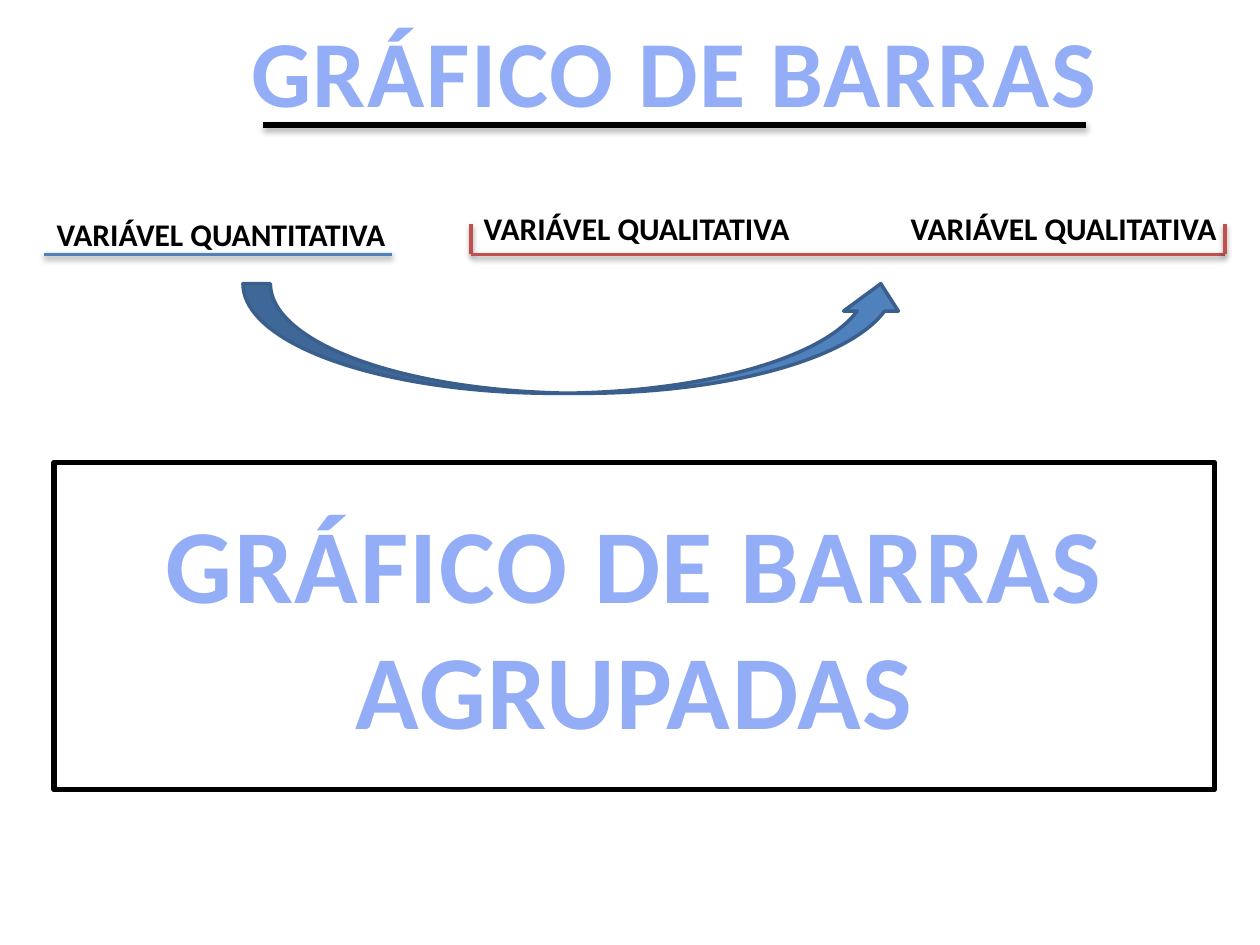
import pptx
import pptx.util
import pptx.dml.color
import pptx.enum.shapes
import pptx.enum.text
import pptx.oxml
import pptx.oxml.ns

Cm = pptx.util.Cm
Pt = pptx.util.Pt
RGBColor = pptx.dml.color.RGBColor
Shape = pptx.enum.shapes.MSO_SHAPE
Text = pptx.enum.text

BLACK = RGBColor(0x00, 0x00, 0x00)
WHITE = RGBColor(0xFF, 0xFF, 0xFF)
SKY = RGBColor(0x93, 0xAE, 0xF7)
BLUE = RGBColor(0x4F, 0x81, 0xBD)
NAVY = RGBColor(0x3A, 0x5F, 0x8C)
RED = RGBColor(0xC0, 0x50, 0x4D)

SHADOW = (
    '<a:effectLst %s><a:outerShdw blurRad="40000" dist="%d" dir="5400000" '
    'rotWithShape="0"><a:srgbClr val="000000"><a:alpha val="%d"/>'
    '</a:srgbClr></a:outerShdw></a:effectLst>'
)


def place(shape, left, top, width, height):
    shape.left, shape.top = Cm(left), Cm(top)
    shape.width, shape.height = Cm(width), Cm(height)


def write(shape, lines, size, color, align, space=0):
    """Fill a text shape with bold lines; space is letter spacing in points."""
    frame = shape.text_frame
    frame.text = "\n".join(lines)
    frame.word_wrap = False
    frame.auto_size = Text.MSO_AUTO_SIZE.SHAPE_TO_FIT_TEXT
    frame.vertical_anchor = Text.MSO_ANCHOR.TOP
    for para in frame.paragraphs:
        para.alignment = align
        font = para.font
        font.name, font.size, font.bold = "Calibri", Pt(size), True
        font.color.rgb = color
        if space:
            props = para._p.get_or_add_pPr().get_or_add_defRPr()
            props.set("spc", str(space * 100))


def add_text(slide, box, lines, size, color, align, space=0):
    shape = slide.shapes.add_textbox(0, 0, 0, 0)
    place(shape, *box)
    write(shape, lines, size, color, align, space)


def add_line(slide, start, end, color, width=2, drop=1.6, alpha=38):
    """Draw a straight line with a soft shadow below it."""
    ends = [Cm(n) for n in (*start, *end)]
    line = slide.shapes.add_connector(
        pptx.enum.shapes.MSO_CONNECTOR.STRAIGHT, *ends)
    line.line.color.rgb = color
    line.line.width = Pt(width)
    space = pptx.oxml.ns.nsdecls("a")
    line._element.spPr.append(pptx.oxml.parse_xml(
        SHADOW % (space, Pt(drop), alpha * 1000)))


def add_form(slide, kind, box, fill, edge, width):
    form = slide.shapes.add_shape(kind, *[Cm(n) for n in box])
    form.shadow.inherit = False
    form.fill.solid()
    form.fill.fore_color.rgb = fill
    form.line.color.rgb = edge
    form.line.width = Pt(width)


def main():
    deck = pptx.Presentation()
    deck.slide_width, deck.slide_height = Cm(25.4), Cm(19.05)
    slide = deck.slides.add_slide(deck.slide_layouts[5])
    left, center = Text.PP_ALIGN.LEFT, Text.PP_ALIGN.CENTER

    # Title and its underline
    title = slide.shapes.title
    place(title, 4.7, 0.13, 17.78, 2.57)
    write(title, ["GRÁFICO DE BARRAS"], 54, SKY, center, 1)
    add_line(slide, (5.31, 2.52), (21.89, 2.52), BLACK, 3, 1.8, 35)

    # Variable labels
    for x, y, wide, label in (
        (0.89, 4.22, 7.34, "VARIÁVEL QUANTITATIVA"),
        (9.5, 4.09, 6.73, "VARIÁVEL QUALITATIVA"),
        (18.11, 4.09, 6.73, "VARIÁVEL QUALITATIVA"),
    ):
        add_text(slide, (x, y, wide, 1.02), [label], 18, BLACK, left)

    # Red bracket under the qualitative pair, blue line under the other
    near, far, top, base = 9.5, 24.69, 4.52, 5.13
    add_line(slide, (near, top), (near, base), RED)
    add_line(slide, (near, base), (far, base), RED)
    add_line(slide, (far, top), (far, base), RED)
    add_line(slide, (0.89, base), (7.9, base), BLUE)

    # Arrow from quantitative to qualitative
    add_form(slide, Shape.CURVED_UP_ARROW, (4.9, 5.72, 13.41, 2.21),
             BLUE, NAVY, 2)

    # Framed result
    add_form(slide, Shape.RECTANGLE, (1.09, 9.32, 23.39, 6.6),
             WHITE, BLACK, 3)
    add_text(slide, (2.97, 9.93, 19.63, 5.38),
             ["GRÁFICO DE BARRAS", "AGRUPADAS"], 60, SKY, center, 1)

    deck.save("out.pptx")


if __name__ == "__main__":
    main()
